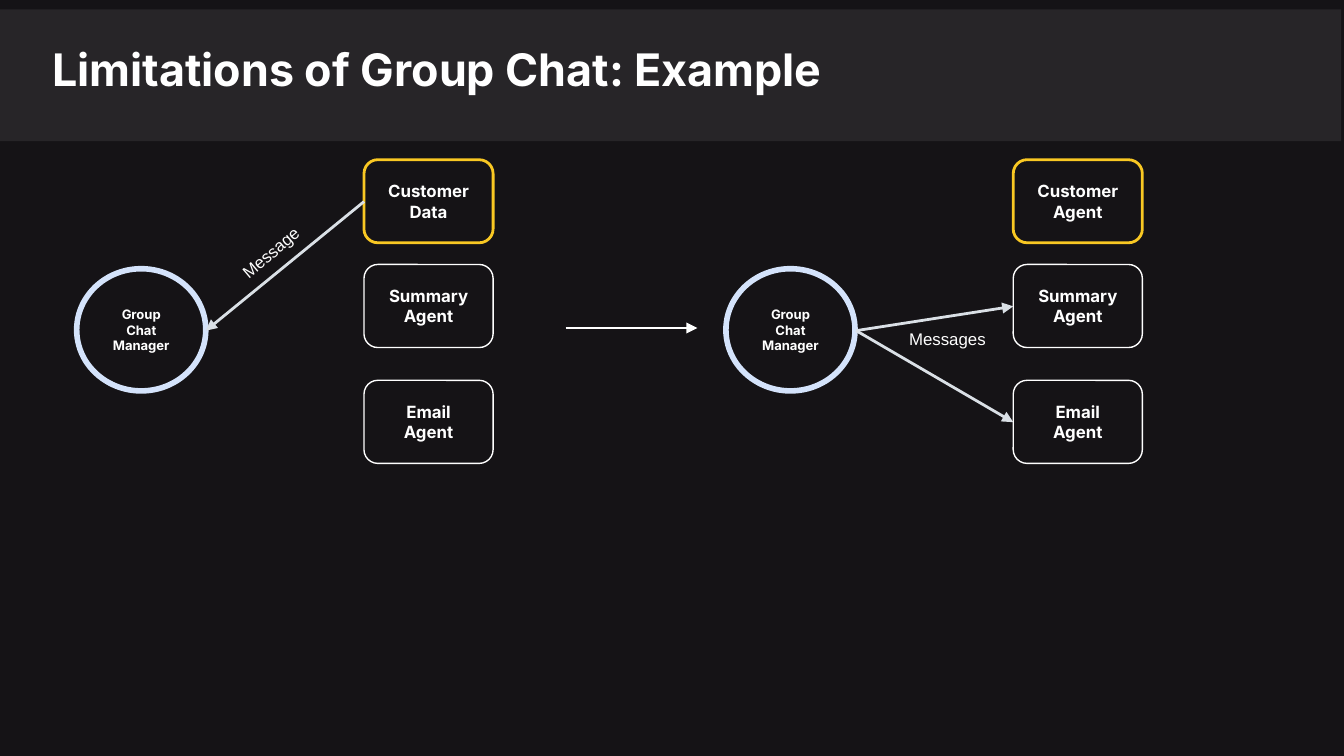
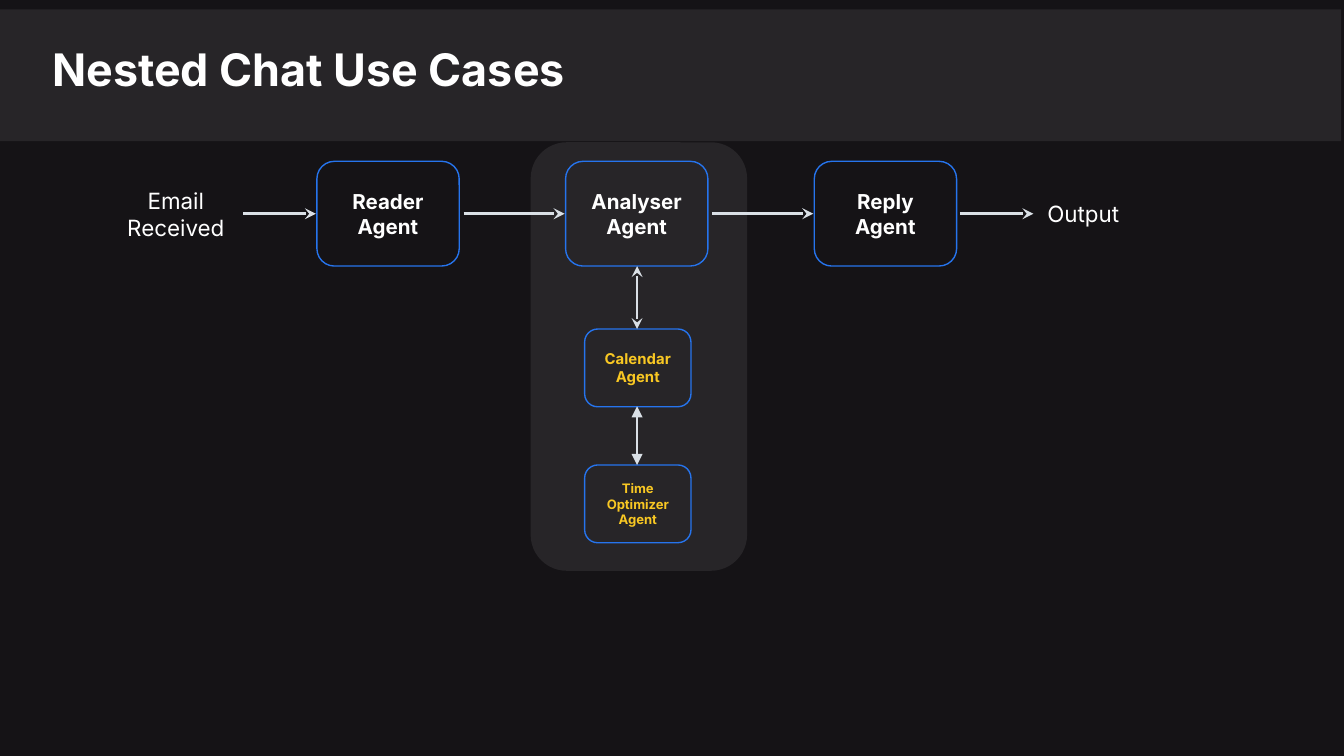
import pptx
import pptx.dml.color
import pptx.enum.shapes
import pptx.enum.text
import pptx.oxml.ns
import pptx.util
from lxml import etree
from pptx.util import Cm

INK, PANEL, WHITE = "151316", "272528", "FFFFFF"
YELLOW, BLUE, PALE_BLUE, GREY = "F9C823", "2674ED", "D4E3FB", "DAE0E6"
SHAPES = pptx.enum.shapes.MSO_SHAPE
ANCHORS = pptx.enum.text.MSO_ANCHOR
ALIGN = pptx.enum.text.PP_ALIGN


def paint(target, colour):
    """Give a fill or a line's fill a solid colour, or none."""
    if colour is None:
        target.background()
    else:
        target.solid()
        target.fore_color.rgb = pptx.dml.color.RGBColor.from_string(colour)


class Deck:
    """The shared style and the slide being drawn."""

    def __init__(self):
        self.prs = pptx.Presentation()
        self.prs.slide_width, self.prs.slide_height = Cm(25.4), Cm(14.29)
        paint(self.prs.slide_master.background.fill, INK)
        self.slide = None

    def start(self, heading):
        self.slide = self.prs.slides.add_slide(self.prs.slide_layouts[5])
        band = self.node(SHAPES.RECTANGLE, (0, 0.18, 25.35, 2.49), fill=PANEL)
        self.slide.shapes._spTree.insert(2, band._element)
        title = self.slide.shapes.title
        place = dict(left=0.74, top=0.53, width=22.2, height=1.47)
        for side, value in place.items():
            setattr(title, side, Cm(value))
        self.letter(title, heading, 24, bold=True, align=ALIGN.LEFT, anchor=ANCHORS.TOP)

    def letter(self, shape, text, size, colour=WHITE, bold=False, font="Inter",
               align=ALIGN.CENTER, anchor=ANCHORS.MIDDLE, side_margin=0.25):
        frame = shape.text_frame
        frame.text = text
        frame_format = dict(word_wrap=True, vertical_anchor=anchor,
                            auto_size=pptx.enum.text.MSO_AUTO_SIZE.NONE,
                            margin_left=Cm(side_margin), margin_right=Cm(side_margin),
                            margin_top=Cm(0.25), margin_bottom=Cm(0.25))
        for name, value in frame_format.items():
            setattr(frame, name, value)
        paragraph = frame.paragraphs[0]
        paragraph.alignment = align
        run_font = paragraph.runs[0].font
        for name, value in dict(name=font, size=pptx.util.Pt(size), bold=bold).items():
            setattr(run_font, name, value)
        paint(run_font.fill, colour)

    def node(self, kind, box, text=None, size=9, colour=WHITE,
             fill=None, line=None, weight=0.75):
        shape = self.slide.shapes.add_shape(kind, *map(Cm, box))
        shape.shadow.inherit = False
        paint(shape.fill, fill)
        paint(shape.line.fill, line)
        if line:
            shape.line.width = pptx.util.Pt(weight)
        if text:
            self.letter(shape, text, size, colour, bold=True)
        return shape

    def label(self, box, text, size, rotation=0, **style):
        shape = self.slide.shapes.add_textbox(*map(Cm, box))
        shape.rotation = rotation
        self.letter(shape, text, size, **style)

    def arrow(self, start, end, colour=GREY, tip="triangle", both=False):
        arrow = self.slide.shapes.add_connector(
            pptx.enum.shapes.MSO_CONNECTOR.STRAIGHT, *map(Cm, start + end))
        paint(arrow.line.fill, colour)
        arrow.line.width = pptx.util.Pt(1.5)
        outline = arrow.line._get_or_add_ln()
        for tag in ("a:headEnd", "a:tailEnd") if both else ("a:tailEnd",):
            etree.SubElement(outline, pptx.oxml.ns.qn(tag), type=tip)
        etree.SubElement(arrow._element.spPr, pptx.oxml.ns.qn("a:effectLst"))


def group_chat_slide(deck):
    deck.start("Limitations of Group Chat: Example")

    # Manager and agents, before and after
    for shift, customer in ((0, "Customer Data"), (12.27, "Customer Agent")):
        deck.node(SHAPES.OVAL, (1.45 + shift, 5.08, 2.44, 2.31),
                  "Group Chat Manager", 7, line=PALE_BLUE, weight=3)
        agents = ((customer, 3.02, YELLOW, 1.5),
                  ("Summary Agent", 5, WHITE, 0.75),
                  ("Email Agent", 7.19, WHITE, 0.75))
        for agent, top, outline, weight in agents:
            deck.node(SHAPES.ROUNDED_RECTANGLE, (6.88 + shift, top, 2.44, 1.57),
                      agent, line=outline, weight=weight)

    # Message in, then messages out
    deck.arrow((6.88, 3.81), (3.89, 6.25))
    deck.arrow((10.69, 6.2), (13.18, 6.2), WHITE)
    for agent_middle in (5.79, 7.98):
        deck.arrow((16.18, 6.25), (19.15, agent_middle))
    caption = dict(font="Arial", anchor=ANCHORS.TOP)
    deck.label((4.01, 4.34, 2.16, 0.81), "Message", 9, rotation=319.7, **caption)
    deck.label((16.84, 5.97, 2.13, 0.79), "Messages", 9, **caption)


def nested_chat_slide(deck):
    deck.start("Nested Chat Use Cases")
    deck.node(SHAPES.ROUNDED_RECTANGLE, (10.03, 2.69, 4.09, 8.1), fill=PANEL)

    # Main chain
    for step, agent in enumerate(("Reader Agent", "Analyser Agent", "Reply Agent")):
        deck.node(SHAPES.ROUNDED_RECTANGLE, (5.99 + 4.7 * step, 3.05, 2.69, 1.98),
                  agent, 11, line=BLUE)
    for start, end in ((4.6, 5.97), (8.76, 10.67), (13.46, 15.37), (18.14, 19.53)):
        deck.arrow((start, 4.04), (end, 4.04), tip="stealth")
    for left, text in ((1.47, "Email Received"), (18.62, "Output")):
        deck.label((left, 3.05, 3.71, 1.98), text, 12, side_margin=0.5)

    # Nested agents
    nested = (("Calendar Agent", 8, 6.22, 5.03, "stealth"),
              ("Time Optimizer Agent", 7, 8.79, 7.68, "triangle"))
    for agent, size, top, link_top, tip in nested:
        deck.node(SHAPES.ROUNDED_RECTANGLE, (11.05, top, 2.01, 1.47),
                  agent, size, YELLOW, line=BLUE)
        deck.arrow((12.04, link_top), (12.04, top), tip=tip, both=True)


def main():
    deck = Deck()
    group_chat_slide(deck)
    nested_chat_slide(deck)
    deck.prs.save("out.pptx")


if __name__ == "__main__":
    main()
